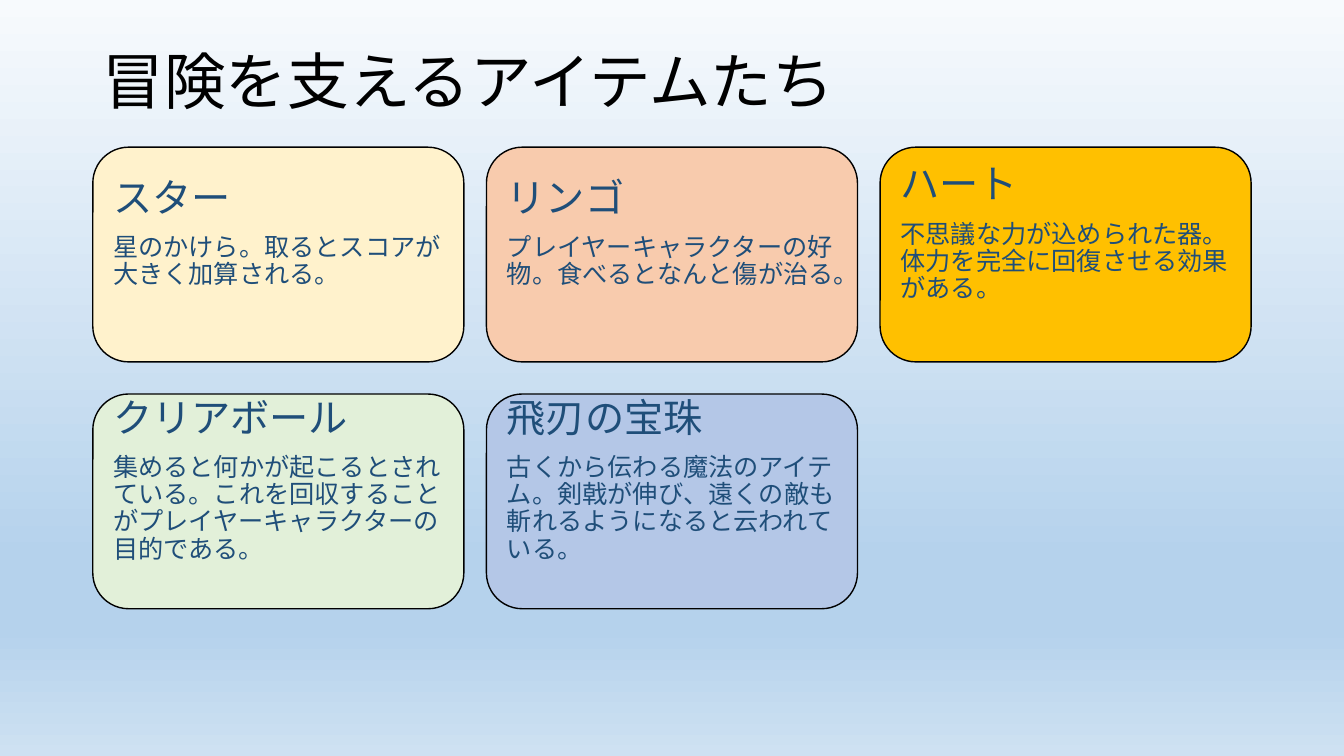
import lxml.etree
import pptx
import pptx.dml.color
import pptx.enum.shapes
import pptx.enum.text
import pptx.oxml.ns
import pptx.util
from pptx.dml.color import RGBColor
from pptx.util import Cm

FONT = "Noto Sans CJK JP"
BLACK = RGBColor(0x00, 0x00, 0x00)
NAVY = RGBColor(0x1F, 0x4E, 0x79)
CREAM = RGBColor(0xFF, 0xF2, 0xCC)
PEACH = RGBColor(0xF8, 0xCB, 0xAD)
GOLD = RGBColor(0xFF, 0xC0, 0x00)
MINT = RGBColor(0xE2, 0xF0, 0xD9)
PERIWINKLE = RGBColor(0xB4, 0xC7, 0xE7)
SKY_STOPS = [
    (0, RGBColor(0xF7, 0xFA, 0xFD)),
    (74, RGBColor(0xB5, 0xD2, 0xEC)),
    (83, RGBColor(0xB5, 0xD2, 0xEC)),
    (100, RGBColor(0xCE, 0xE1, 0xF2)),
]

LEFT = Cm(2.34)
CARDS_TOP = Cm(3.71)
CARD_WIDTH, CARD_HEIGHT = Cm(9.35), Cm(5.41)
COLUMN_STEP, ROW_STEP = Cm(9.92), Cm(6.22)
COLUMNS = 3

ITEMS = [
    ("スター", "星のかけら。取るとスコアが大きく加算される。", CREAM),
    ("リンゴ", "プレイヤーキャラクターの好物。食べるとなんと傷が治る。", PEACH),
    ("ハート", "不思議な力が込められた器。体力を完全に回復させる効果がある。", GOLD),
    ("クリアボール",
     "集めると何かが起こるとされている。これを回収することがプレイヤーキャラクターの目的である。",
     MINT),
    ("飛刃の宝珠",
     "古くから伝わる魔法のアイテム。剣戟が伸び、遠くの敵も斬れるようになると云われている。",
     PERIWINKLE),
]


def write(paragraph, text, *, size, color, space_before=0):
    """Fill a paragraph, setting the font for Latin and East Asian characters."""
    paragraph.alignment = pptx.enum.text.PP_ALIGN.LEFT
    paragraph.line_spacing = 0.9
    paragraph.space_before = pptx.util.Pt(space_before)
    run = paragraph.add_run()
    run.text = text
    run.font.size = pptx.util.Pt(size)
    run.font.name = FONT
    run.font.color.rgb = color
    east_asian = lxml.etree.Element(pptx.oxml.ns.qn("a:ea"), typeface=FONT)
    run.font._element.find(pptx.oxml.ns.qn("a:latin")).addnext(east_asian)


def prepare_frame(frame):
    frame.word_wrap = True
    frame.vertical_anchor = pptx.enum.text.MSO_ANCHOR.MIDDLE


def paint_sky(slide):
    qn = pptx.oxml.ns.qn
    fill = slide.background.fill
    fill.gradient()
    fill.gradient_angle = 270
    stops = slide._element.find(".//" + qn("a:gsLst"))
    for stop in list(stops):
        stops.remove(stop)
    for percent, color in SKY_STOPS:
        stop = lxml.etree.SubElement(stops, qn("a:gs"), pos=str(percent * 1000))
        lxml.etree.SubElement(stop, qn("a:srgbClr"), val=str(color))


def add_title(slide, text):
    title = slide.shapes.add_textbox(LEFT, Cm(1.02), Cm(29.21), Cm(2.21))
    prepare_frame(title.text_frame)
    write(title.text_frame.paragraphs[0], text, size=44, color=BLACK)


def add_card(slide, left, top, name, description, color):
    card = slide.shapes.add_shape(
        pptx.enum.shapes.MSO_SHAPE.ROUNDED_RECTANGLE,
        left, top, CARD_WIDTH, CARD_HEIGHT)
    card.shadow.inherit = False
    card.fill.solid()
    card.fill.fore_color.rgb = color
    card.line.color.rgb = BLACK
    card.line.width = pptx.util.Pt(1)
    frame = card.text_frame
    prepare_frame(frame)
    frame.margin_bottom = Cm(1.16)
    write(frame.paragraphs[0], name, size=28, color=NAVY)
    write(frame.add_paragraph(), description, size=18, color=NAVY, space_before=10)


def main():
    deck = pptx.Presentation()
    deck.slide_width, deck.slide_height = Cm(33.87), Cm(19.05)
    slide = deck.slides.add_slide(deck.slide_layouts[6])
    paint_sky(slide)
    add_title(slide, "冒険を支えるアイテムたち")
    for index, (name, description, color) in enumerate(ITEMS):
        row, column = divmod(index, COLUMNS)
        add_card(slide, LEFT + column * COLUMN_STEP, CARDS_TOP + row * ROW_STEP,
                 name, description, color)
    deck.save("out.pptx")


if __name__ == "__main__":
    main()
